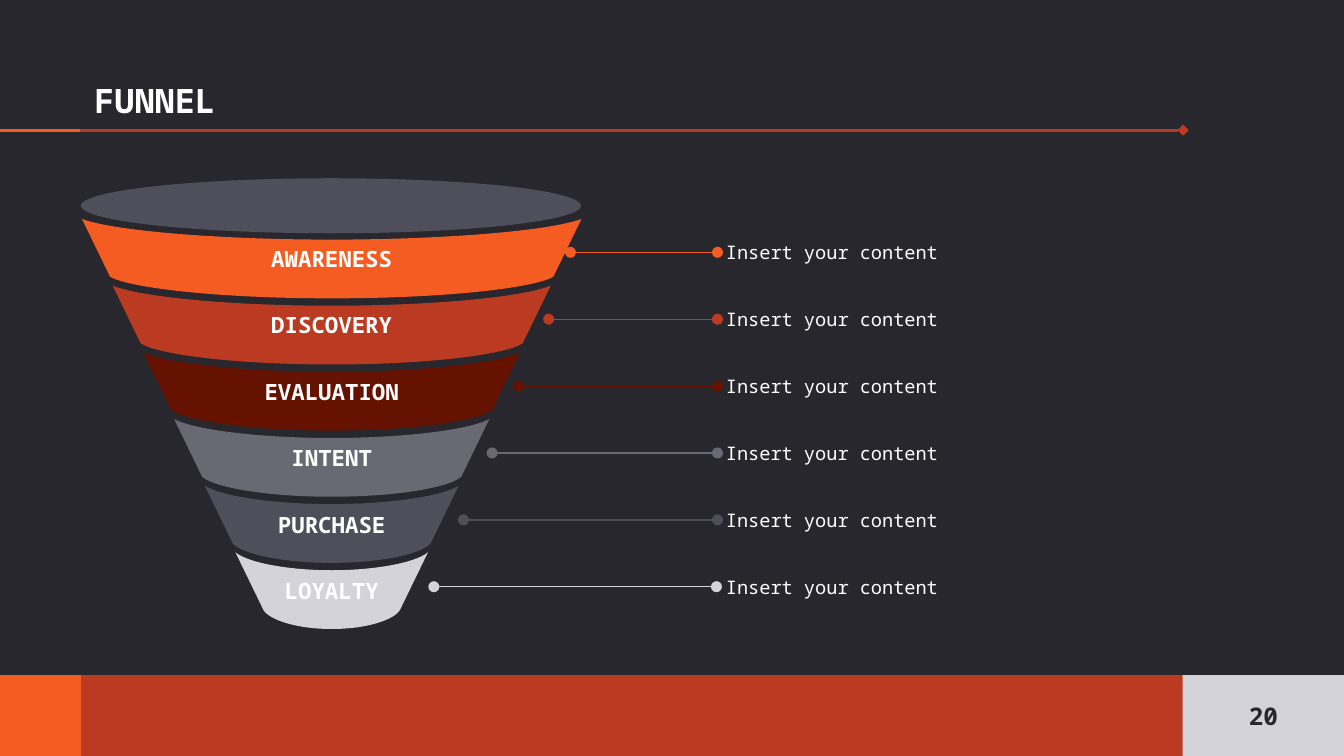
from dataclasses import dataclass

from lxml import etree
from pptx import Presentation
from pptx.dml.color import RGBColor
from pptx.enum.shapes import MSO_CONNECTOR, MSO_SHAPE
from pptx.enum.text import MSO_ANCHOR, MSO_AUTO_SIZE, PP_ALIGN
from pptx.oxml.ns import qn
from pptx.util import Cm, Pt

STRAIGHT = MSO_CONNECTOR.STRAIGHT
RECTANGLE, OVAL = MSO_SHAPE.RECTANGLE, MSO_SHAPE.OVAL
MIDDLE, BOTTOM = MSO_ANCHOR.MIDDLE, MSO_ANCHOR.BOTTOM
LEFT, CENTER = PP_ALIGN.LEFT, PP_ALIGN.CENTER
NO_AUTOFIT = MSO_AUTO_SIZE.NONE


@dataclass(frozen=True)
class Theme:
    font: str = "Noto Sans Mono"
    dark: str = "27272D"
    white: str = "FFFFFF"
    orange: str = "F55C21"
    red: str = "BA3B21"
    maroon: str = "661201"
    gray: str = "696974"
    slate: str = "4F4F5C"
    light: str = "D4D3D9"
    title_size: int = 18
    number_size: int = 13
    stage_size: int = 12
    note_size: int = 10


@dataclass(frozen=True)
class Stage:
    name: str
    color: str
    leader_start: float
    leader_end: float = 13.56


THEME = Theme()
STAGES = [
    Stage("AWARENESS", THEME.orange, 10.78),
    Stage("DISCOVERY", THEME.red, 10.37),
    Stage("EVALUATION", THEME.maroon, 9.8),
    Stage("INTENT", THEME.gray, 9.3),
    Stage("PURCHASE", THEME.slate, 8.76),
    Stage("LOYALTY", THEME.light, 8.2, 13.54),
]
NOTE = "Insert your content"
NOTE_PITCH = 6.32 / (len(STAGES) - 1)
FUNNEL_CENTER = 6.27
STAGE_PITCH = 1.26
CURVE_PITCH = 1.25
TAPER = 0.58

Point = tuple[float, float]


def paint(shape, color: str) -> None:
    shape.shadow.inherit = False
    shape.fill.solid()
    shape.fill.fore_color.rgb = RGBColor.from_string(color)
    shape.line.fill.background()


def write(shape, text: str, size: int, color: str, bold: bool = True,
          align=CENTER, anchor=MIDDLE, inset: float = 0.25) -> None:
    frame = shape.text_frame
    frame.word_wrap = True
    frame.auto_size = NO_AUTOFIT
    frame.vertical_anchor = anchor
    frame.margin_left = frame.margin_right = Cm(inset)
    frame.margin_top = frame.margin_bottom = Cm(inset)
    frame.text = text
    paragraph = frame.paragraphs[0]
    paragraph.alignment = align
    font = paragraph.font
    font.name, font.size, font.bold = THEME.font, Pt(size), bold
    font.color.rgb = RGBColor.from_string(color)


def add_block(shapes, kind, left: float, top: float, width: float,
              height: float, color: str):
    block = shapes.add_shape(kind, Cm(left), Cm(top), Cm(width), Cm(height))
    paint(block, color)
    return block


def add_rule(shapes, start: float, end: float, y: float, color: str,
             weight: float, head: str = "none", tail: str = "none") -> None:
    rule = shapes.add_connector(STRAIGHT, Cm(start), Cm(y), Cm(end), Cm(y))
    rule.line.color.rgb = RGBColor.from_string(color)
    rule.line.width = Pt(weight)
    properties = rule.element.spPr
    outline = properties.find(qn("a:ln"))
    for tag, ending in (("a:headEnd", head), ("a:tailEnd", tail)):
        etree.SubElement(outline, qn(tag), type=ending)
    etree.SubElement(properties, qn("a:effectLst"))


def place(point: Point) -> tuple[int, int]:
    x, y = point
    return Cm(FUNNEL_CENTER + x), Cm(y)


def mirror(point: Point) -> Point:
    return -point[0], point[1]


def bend(band, segment: int, controls: list[Point]) -> None:
    line = list(band.element.spPr.iter(qn("a:lnTo")))[segment]
    curve = etree.Element(qn("a:cubicBezTo"))
    for control in controls:
        x, y = place(control)
        etree.SubElement(curve, qn("a:pt"), x=str(x - band.left), y=str(y - band.top))
    curve.append(line[0])
    line.getparent().replace(line, curve)


def add_band(shapes, index: int, stage: Stage) -> None:
    rim = 4.72 - index * TAPER
    foot = 4.19 - index * TAPER
    top = 4.14 + index * STAGE_PITCH
    dip = 4.53 + index * CURVE_PITCH
    shoulder = 5.23 + index * STAGE_PITCH
    base = 5.64 + index * CURVE_PITCH
    upper = [(0.42 * rim, dip), (0.86 * rim, top + 0.62 * (dip - top))]
    lower = [(0.92 * foot, (shoulder + base) / 2), (0.53 * foot, base)]
    corners = [(0, dip), (rim, top), (foot, shoulder), (0, base),
               (-foot, shoulder), (-rim, top), (0, dip)]
    builder = shapes.build_freeform(*place(corners[0]))
    builder.add_line_segments([place(corner) for corner in corners[1:]], close=True)
    band = builder.convert_to_shape()
    upper_left = [mirror(point) for point in reversed(upper)]
    lower_left = [mirror(point) for point in reversed(lower)]
    for segment, controls in ((5, upper_left), (3, lower_left), (2, lower), (0, upper)):
        bend(band, segment, controls)
    paint(band, stage.color)
    write(band, stage.name, THEME.stage_size, THEME.white, inset=0.1)


def add_note(shapes, index: int, stage: Stage) -> None:
    y = 4.77 + index * NOTE_PITCH
    add_rule(shapes, stage.leader_start, stage.leader_end, y, stage.color,
             0.75, "oval", "oval")
    height = 0.91
    note = shapes.add_textbox(Cm(13.72), Cm(y - height / 2), Cm(7.32), Cm(height))
    write(note, NOTE, THEME.note_size, THEME.white, bold=False, align=LEFT, inset=0)


def main() -> None:
    deck = Presentation()
    deck.slide_width, deck.slide_height = Cm(25.4), Cm(14.29)
    slide = deck.slides.add_slide(deck.slide_layouts[5])
    slide.background.fill.solid()
    slide.background.fill.fore_color.rgb = RGBColor.from_string(THEME.dark)
    shapes = slide.shapes

    add_rule(shapes, -0.02, 22.36, 2.46, THEME.red, 1.5, tail="diamond")
    add_block(shapes, RECTANGLE, 0, 12.76, 25.4, 1.53, THEME.red)
    add_block(shapes, RECTANGLE, 0, 12.76, 1.53, 1.53, THEME.orange)
    add_rule(shapes, -0.02, 1.51, 2.46, THEME.orange, 1.5)

    title = shapes.title
    title.left, title.top, title.width, title.height = Cm(1.53), Cm(1), Cm(20.83), Cm(1.52)
    write(title, "FUNNEL", THEME.title_size, THEME.white, align=LEFT, anchor=BOTTOM)

    number = add_block(shapes, RECTANGLE, 22.35, 12.76, 3.05, 1.53, THEME.light)
    write(number, "20", THEME.number_size, THEME.dark)

    for index, stage in enumerate(STAGES):
        add_band(shapes, index, stage)
    add_block(shapes, OVAL, 1.53, 3.37, 9.45, 1.04, THEME.slate)
    for index, stage in enumerate(STAGES):
        add_note(shapes, index, stage)

    deck.save("out.pptx")


if __name__ == "__main__":
    main()
